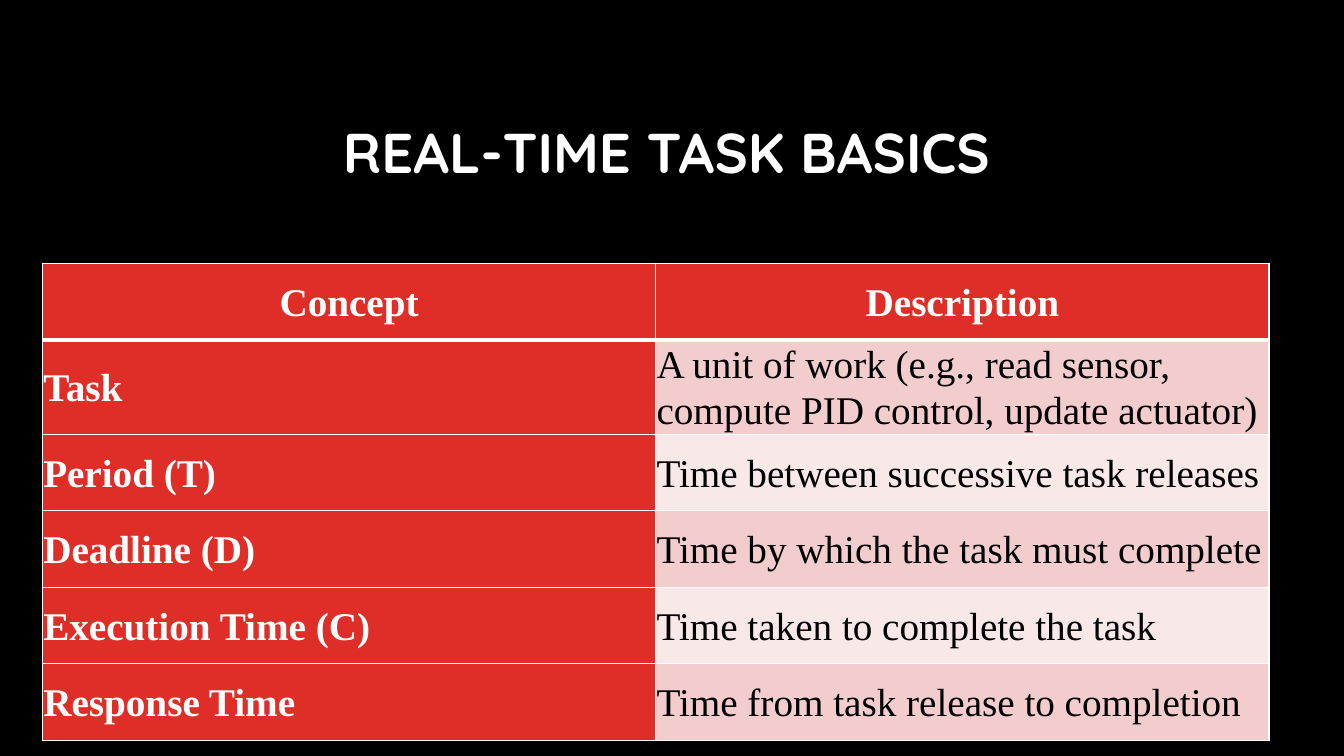
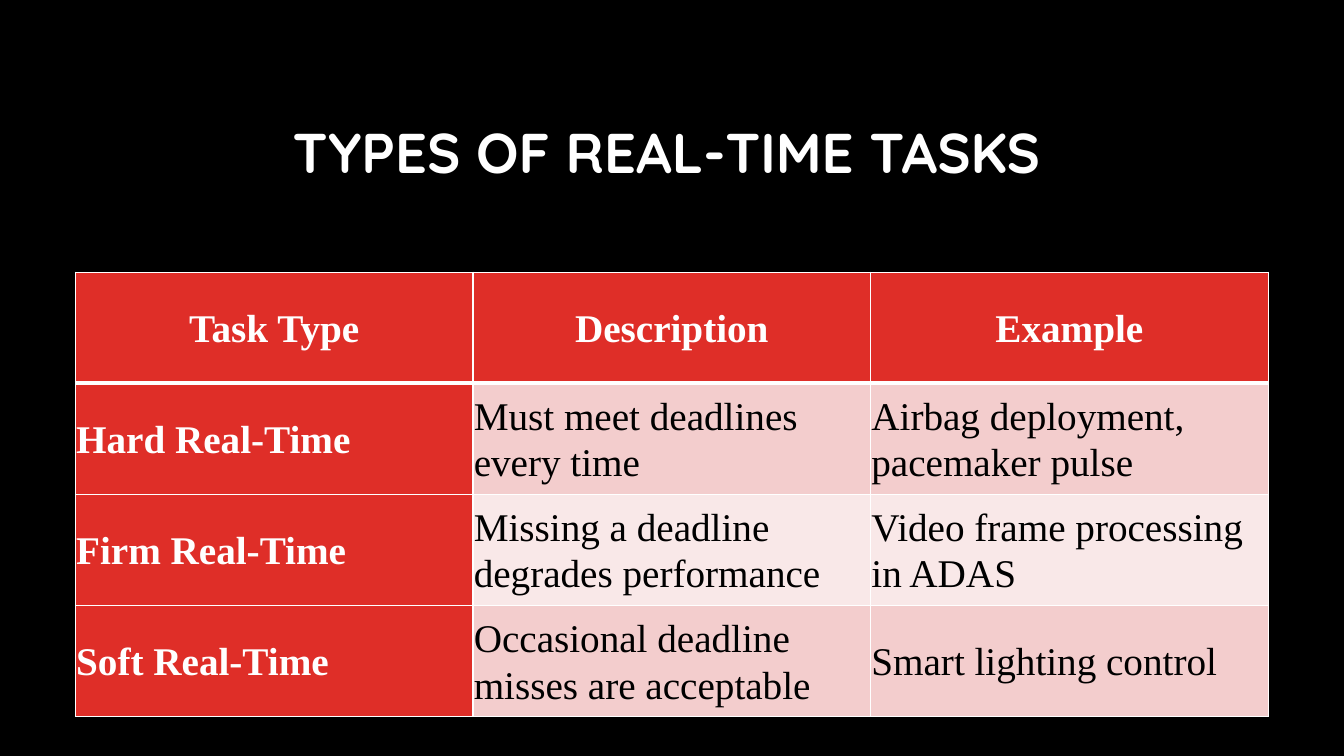
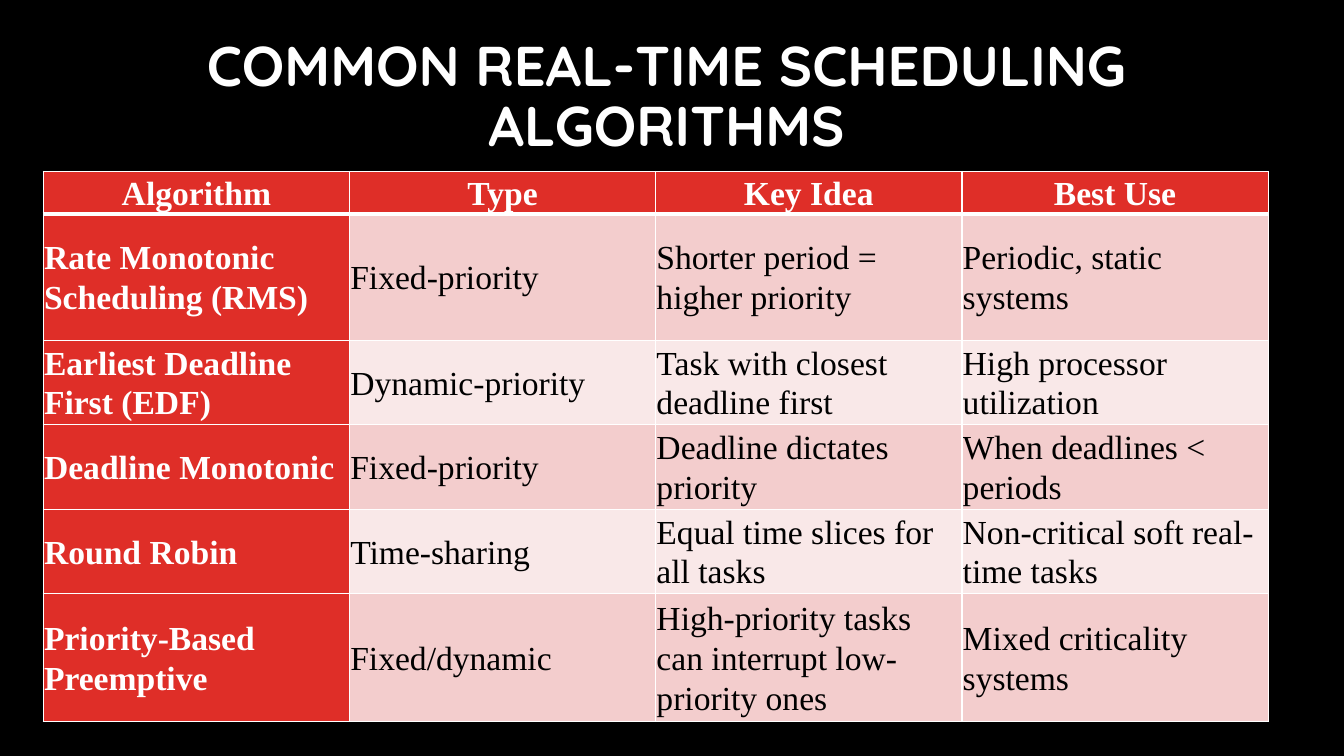
from lxml.etree import SubElement
from pptx import Presentation
from pptx.dml.color import RGBColor
from pptx.enum.text import MSO_ANCHOR, MSO_AUTO_SIZE, PP_ALIGN
from pptx.oxml.ns import qn
from pptx.util import Cm, Pt

COLORS = {
    "background": "000000",
    "light": "FFFFFF",
    "dark": "000000",
    "accent": "DF2E28",
    "odd_row": "F3CDCD",
    "even_row": "F9E8E8",
}
TITLE_FONT = "Quicksand"
TABLE_FONT = "Times New Roman"
TITLE_LEFT, TITLE_WIDTH = 1.63, 30.33
CELL_MARGIN = Cm(0.02)

SLIDES = [
    {
        "title": "REAL-TIME TASK BASICS",
        "title_top": 2.13,
        "title_height": 3.58,
        "table_box": (1.07, 6.63, 30.91),
        "row_heights": [1.93] * 6,
        "text_size": 28,
        "rows": [
            ("Concept", "Description"),
            ("Task", "A unit of work (e.g., read sensor, compute PID control, update actuator)"),
            ("Period (T)", "Time between successive task releases"),
            ("Deadline (D)", "Time by which the task must complete"),
            ("Execution Time (C)", "Time taken to complete the task"),
            ("Response Time", "Time from task release to completion"),
        ],
    },
    {
        "title": "TYPES OF REAL-TIME TASKS",
        "title_top": 2.13,
        "title_height": 3.58,
        "table_box": (1.9, 6.86, 30.06),
        "row_heights": [2.8] * 4,
        "text_size": 28,
        "rows": [
            ("Task Type", "Description", "Example"),
            ("Hard Real-Time", "Must meet deadlines every time", "Airbag deployment, pacemaker pulse"),
            ("Firm Real-Time", "Missing a deadline degrades performance", "Video frame processing in ADAS"),
            ("Soft Real-Time", "Occasional deadline misses are acceptable", "Smart lighting control"),
        ],
    },
    {
        "title": "COMMON REAL-TIME SCHEDULING ALGORITHMS",
        "title_top": 0.64,
        "title_height": 3.68,
        "table_box": (1.09, 4.32, 30.87),
        "row_heights": [1.07, 3.18, 2.13, 2.13, 2.13, 3.23],
        "text_size": 24,
        "rows": [
            ("Algorithm", "Type", "Key Idea", "Best Use"),
            ("Rate Monotonic Scheduling (RMS)", "Fixed-priority",
             "Shorter period = higher priority", "Periodic, static systems"),
            ("Earliest Deadline First (EDF)", "Dynamic-priority",
             "Task with closest deadline first", "High processor utilization"),
            ("Deadline Monotonic", "Fixed-priority",
             "Deadline dictates priority", "When deadlines < periods"),
            ("Round Robin", "Time-sharing",
             "Equal time slices for all tasks", "Non-critical soft real-time tasks"),
            ("Priority-Based Preemptive", "Fixed/dynamic",
             "High-priority tasks can interrupt low-priority ones", "Mixed criticality systems"),
        ],
    },
]


def color(name):
    return RGBColor.from_string(COLORS[name])


def write(text_frame, text, font, size, ink, bold, align, spacing):
    text_frame.text = text
    paragraph = text_frame.paragraphs[0]
    paragraph.alignment = align
    paragraph.line_spacing = spacing
    style = paragraph.runs[0].font
    style.name = font
    style.size = Pt(size)
    style.bold = bold
    style.color.rgb = color(ink)


def add_borders(cell, top, bottom):
    properties = cell._tc.get_or_add_tcPr()
    for side, width in (("L", 1), ("R", 1), ("T", top), ("B", bottom)):
        line = SubElement(properties, qn(f"a:ln{side}"), w=str(Pt(width)))
        SubElement(SubElement(line, qn("a:solidFill")), qn("a:srgbClr"), val=COLORS["light"])


def format_cell(cell, text, row, column, size):
    heading = row == 0 or column == 0
    cell.vertical_anchor = MSO_ANCHOR.MIDDLE
    cell.margin_left = cell.margin_right = CELL_MARGIN
    cell.margin_top = cell.margin_bottom = CELL_MARGIN
    add_borders(cell, top=3 if row == 1 else 1, bottom=3 if row == 0 else 1)
    cell.fill.solid()
    band = "odd_row" if row % 2 else "even_row"
    cell.fill.fore_color.rgb = color("accent" if heading else band)
    write(cell.text_frame, text, TABLE_FONT, size, "light" if heading else "dark",
          heading, PP_ALIGN.CENTER if row == 0 else PP_ALIGN.LEFT, 1.07)


def add_title(slide, content):
    title = slide.shapes.title
    title.left, title.width = Cm(TITLE_LEFT), Cm(TITLE_WIDTH)
    title.top, title.height = Cm(content["title_top"]), Cm(content["title_height"])
    title.text_frame.word_wrap = True
    title.text_frame.auto_size = MSO_AUTO_SIZE.NONE
    title.text_frame.vertical_anchor = MSO_ANCHOR.MIDDLE
    write(title.text_frame, content["title"], TITLE_FONT, 40, "light", True, PP_ALIGN.CENTER, 0.9)


def add_grid(slide, content):
    rows, heights = content["rows"], content["row_heights"]
    left, top, width = content["table_box"]
    columns = len(rows[0])
    table = slide.shapes.add_table(
        len(rows), columns, Cm(left), Cm(top), Cm(width), Cm(sum(heights))).table
    table.first_col = True
    for column in table.columns:
        column.width = Cm(width / columns)
    for r, (texts, height) in enumerate(zip(rows, heights)):
        table.rows[r].height = Cm(height)
        for c, text in enumerate(texts):
            format_cell(table.cell(r, c), text, r, c, content["text_size"])


def main():
    deck = Presentation()
    deck.slide_width, deck.slide_height = Cm(33.87), Cm(19.05)
    backdrop = deck.slide_master.background.fill
    backdrop.solid()
    backdrop.fore_color.rgb = color("background")
    title_only = deck.slide_layouts[5]
    for content in SLIDES:
        slide = deck.slides.add_slide(title_only)
        add_title(slide, content)
        add_grid(slide, content)
    deck.save("out.pptx")


if __name__ == "__main__":
    main()
